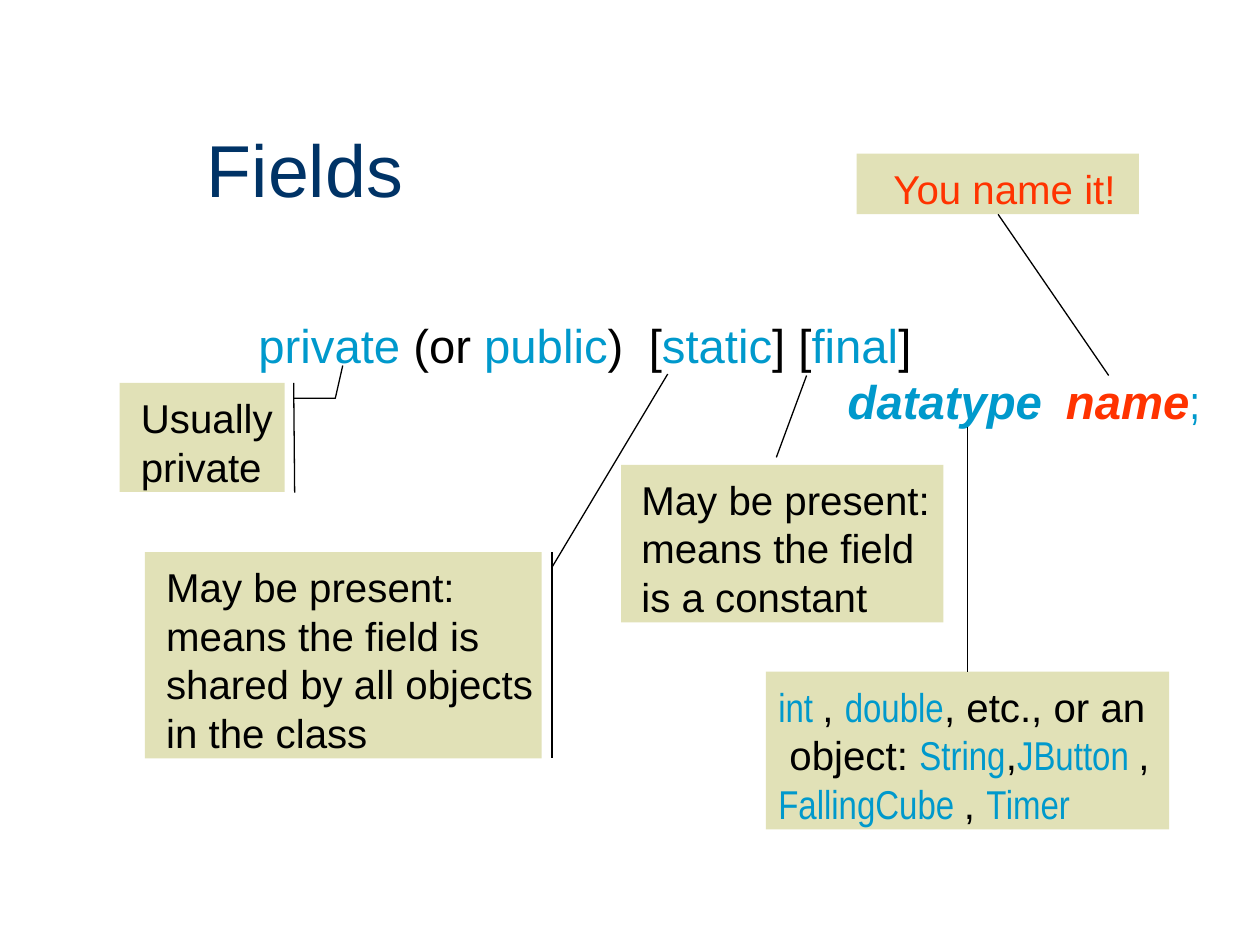
"""Build the slide that explains the parts of a field declaration."""
from lxml import etree
from pptx import Presentation
from pptx import util as u
from pptx.dml.color import RGBColor
from pptx.enum import shapes, text
from pptx.oxml.ns import qn

BLACK, BLUE, RED, NAVY, BEIGE = "000000", "0099CC", "FF3300", "003366", "E1E1B7"
LINE_HEIGHT, BOX_PADDING = 0.98, 0.24

CODE = {"color": BLUE}
NARROW = {"color": BLUE, "font": "Arial Narrow"}
PLAIN = {}
STRONG = {"bold": True, "italic": True}

TITLE = ("Fields", 4.17, 2.5, 3.96, 1.78)

SYNTAX = [
    (5.21, 6.38, 7.37, [("private", CODE), (" (or ", PLAIN), ("public", CODE), (")", PLAIN)]),
    (13.08, 6.38, 5.28, [("[", PLAIN), ("static", CODE), ("] [", PLAIN), ("final", CODE), ("]", PLAIN)]),
    (17.09, 7.5, 3.91, [("datatype", {"color": BLUE, **STRONG})]),
    (21.49, 7.5, 2.67, [("name", {"color": RED, **STRONG}), (";", NARROW)]),
]

NOTES = [
    (2.41, 7.72, 3.33, 0.43, [[("Usually", PLAIN)], [("private", PLAIN)]]),
    (2.92, 11.13, 8, 0.43, [[("May be present:", PLAIN)], [("means the field is", PLAIN)],
                            [("shared by all objects", PLAIN)], [("in the class", PLAIN)]]),
    (12.52, 9.37, 6.5, 0.41, [[("May be present:", PLAIN)], [("means the field", PLAIN)],
                              [("is a constant", PLAIN)]]),
    (15.44, 13.54, 8.13, 0.25, [
        [("int ", NARROW), (", ", PLAIN), ("double", NARROW), (", etc., or an", PLAIN)],
        [(" object: ", PLAIN), ("String", NARROW), (",", PLAIN), ("JButton ", NARROW), (",", PLAIN)],
        [("FallingCube ", NARROW), (", ", PLAIN), ("Timer", NARROW)]]),
    (17.27, 3.1, 5.69, 0.74, [[("You name it!", {"color": RED})]]),
]

LEADERS = [
    (5.92, 7.72, 5.94, 9.93),
    (13.46, 7.54, 11.13, 11.43),
    (11.13, 11.13, 11.13, 15.29),
    (16.26, 7.57, 15.65, 9.22),
    (19.51, 8.61, 19.51, 13.54),
    (20.12, 4.32, 22.35, 7.57),
]
BENT_LEADER = [(6.91, 7.37), (6.76, 8.03), (5.92, 8.03)]


def rgb(color):
    """Turn a hex string into a colour."""
    return RGBColor.from_string(color)


def add_run(paragraph, words, size, color=BLACK, font="Arial", bold=False, italic=False):
    """Append formatted words to a paragraph."""
    run = paragraph.add_run()
    run.text = words
    run.font.size = u.Pt(size)
    run.font.name = font
    run.font.bold = bold
    run.font.italic = italic
    run.font.color.rgb = rgb(color)


def write(shape, lines, size, left=0, top=0, wrap=True, spacing=None):
    """Fill a shape with lines of formatted runs."""
    frame = shape.text_frame
    frame.margin_left, frame.margin_top = u.Cm(left), u.Cm(top)
    frame.margin_right = frame.margin_bottom = 0
    frame.word_wrap = wrap
    frame.auto_size = text.MSO_AUTO_SIZE.NONE
    frame.vertical_anchor = text.MSO_ANCHOR.TOP
    for index, runs in enumerate(lines):
        paragraph = frame.add_paragraph() if index else frame.paragraphs[0]
        paragraph.alignment = text.PP_ALIGN.LEFT
        if spacing:
            paragraph.line_spacing = u.Cm(spacing)
        for words, style in runs:
            add_run(paragraph, words, size, **style)


def draw_line(shape):
    """Give a leader a thin black line."""
    shape.line.color.rgb = rgb(BLACK)
    shape.line.width = u.Pt(0.75)


def add_title(slide):
    """Move and format the title placeholder."""
    words, *place = TITLE
    title = slide.shapes.title
    title.left, title.top, title.width, title.height = map(u.Cm, place)
    write(title, [[(words, {"color": NAVY})]], 42, wrap=False)


def add_note(slide, left, top, width, inset, lines):
    """Add a beige note whose height follows its number of lines."""
    height = len(lines) * LINE_HEIGHT + BOX_PADDING
    note = slide.shapes.add_shape(shapes.MSO_SHAPE.RECTANGLE, *map(u.Cm, (left, top, width, height)))
    note.shadow.inherit = False
    note.fill.solid()
    note.fill.fore_color.rgb = rgb(BEIGE)
    note.line.fill.background()
    write(note, lines, 23, left=inset, top=0.2, spacing=LINE_HEIGHT)


def add_leaders(slide):
    """Add the straight leaders and the bent one."""
    for ends in LEADERS:
        leader = slide.shapes.add_connector(shapes.MSO_CONNECTOR.STRAIGHT, *map(u.Cm, ends))
        draw_line(leader)
        etree.SubElement(leader.element.spPr, qn("a:effectLst"))
    start, *corners = [(u.Cm(x), u.Cm(y)) for x, y in BENT_LEADER]
    builder = slide.shapes.build_freeform(*start)
    builder.add_line_segments(corners, close=False)
    bent = builder.convert_to_shape()
    bent.shadow.inherit = False
    bent.fill.background()
    draw_line(bent)


def main():
    """Build and save the presentation."""
    presentation = Presentation()
    presentation.slide_width, presentation.slide_height = u.Cm(25.4), u.Cm(19.05)
    slide = presentation.slides.add_slide(presentation.slide_layouts[5])
    add_title(slide)
    for left, top, width, runs in SYNTAX:
        box = slide.shapes.add_textbox(*map(u.Cm, (left, top, width, 1.14)))
        write(box, [runs], 27, wrap=False)
    for note in NOTES:
        add_note(slide, *note)
    add_leaders(slide)
    presentation.save("out.pptx")


if __name__ == "__main__":
    main()
